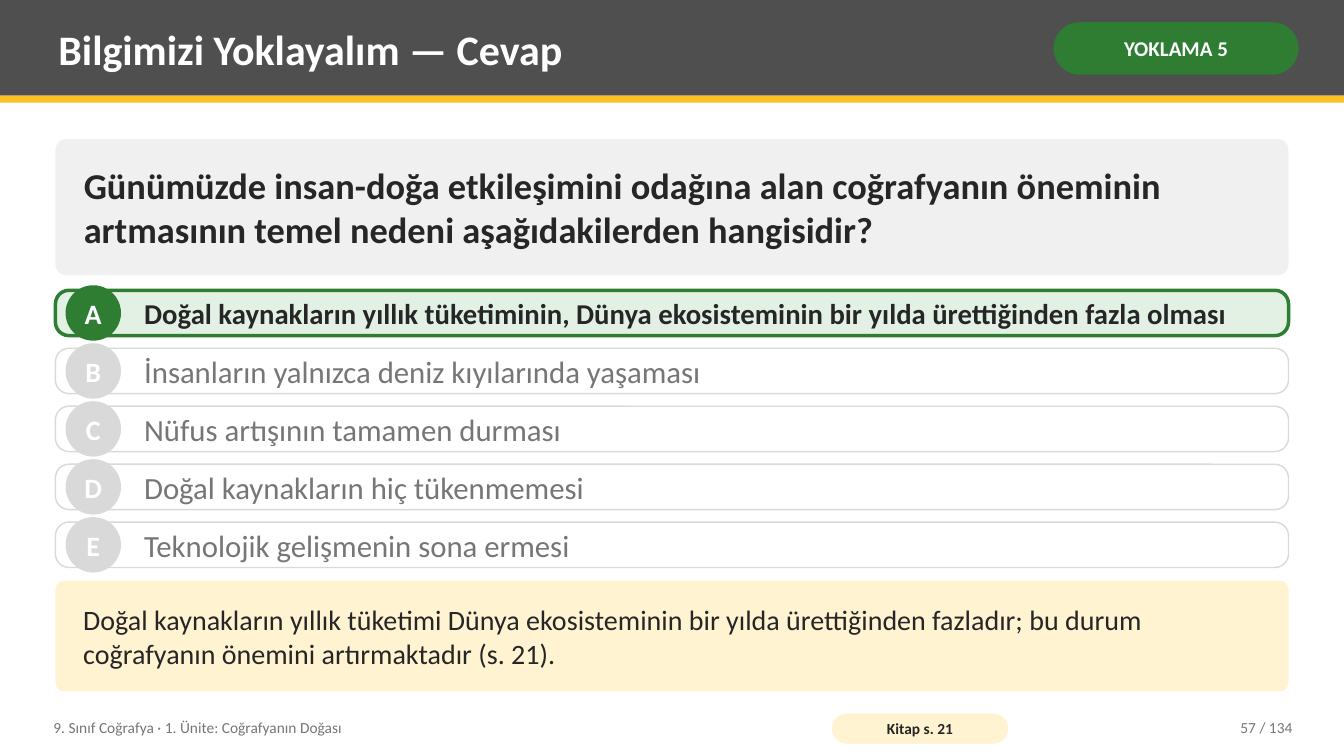
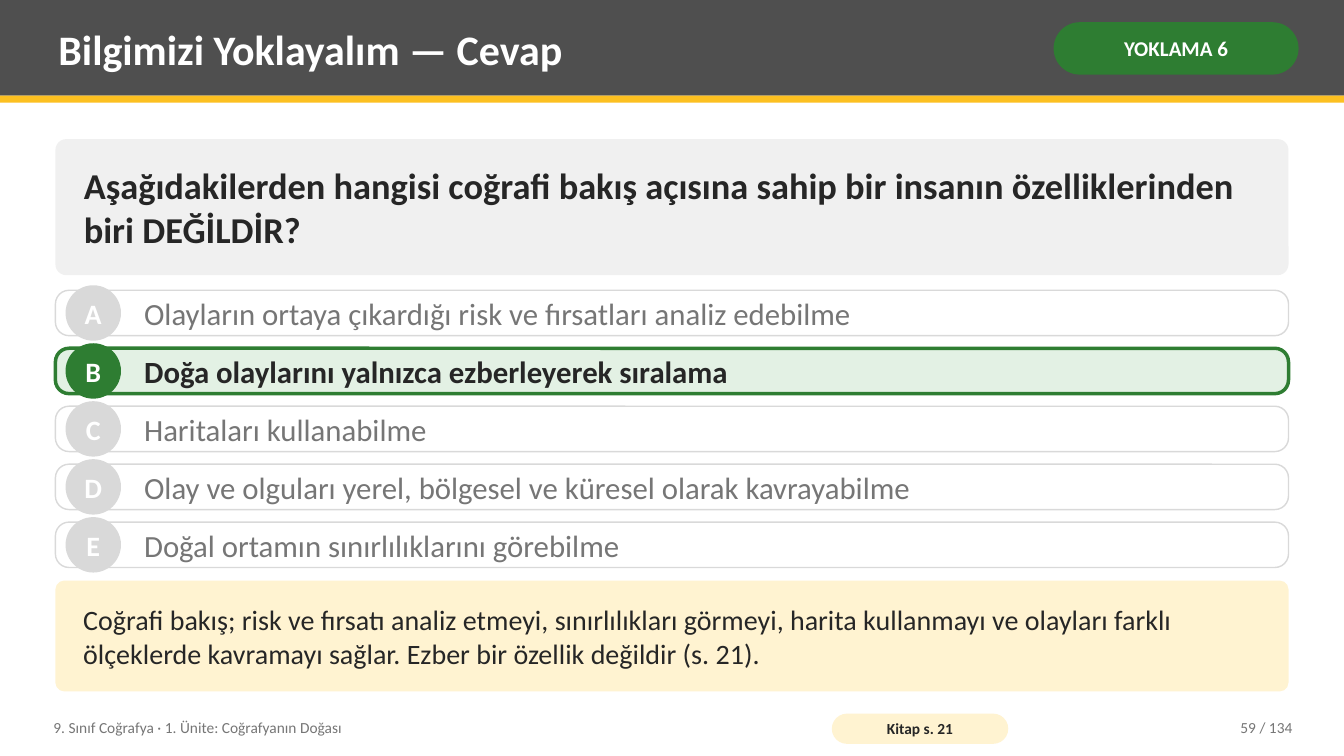
from pptx import Presentation
from pptx.dml.color import RGBColor
from pptx.enum.shapes import MSO_SHAPE
from pptx.enum.text import MSO_ANCHOR, MSO_AUTO_SIZE, PP_ALIGN
from pptx.util import Emu, Pt

PX = 9144
WIDTH, HEIGHT = 1333, 750
FONT = "Calibri"
TITLE = "Bilgimizi Yoklayalım — Cevap"
FOOTER = "9. Sınıf Coğrafya · 1. Ünite: Coğrafyanın Doğası"
PAGE_COUNT = 134

COLORS = {
    "header": "4F4F4F",
    "accent": "FCC021",
    "green": "2E7D32",
    "mint": "E3F1E4",
    "panel": "F0F0F0",
    "cream": "FFF3D1",
    "white": "FFFFFF",
    "border": "D9D9D9",
    "ink": "262626",
    "muted": "767676",
}

QUIZZES = [
    {
        "tag": "YOKLAMA 5",
        "question": "Günümüzde insan-doğa etkileşimini odağına alan coğrafyanın "
                    "öneminin artmasının temel nedeni aşağıdakilerden hangisidir?",
        "options": [
            "Doğal kaynakların yıllık tüketiminin, Dünya ekosisteminin bir yılda "
            "ürettiğinden fazla olması",
            "İnsanların yalnızca deniz kıyılarında yaşaması",
            "Nüfus artışının tamamen durması",
            "Doğal kaynakların hiç tükenmemesi",
            "Teknolojik gelişmenin sona ermesi",
        ],
        "answer": "A",
        "explanation": "Doğal kaynakların yıllık tüketimi Dünya ekosisteminin bir yılda "
                       "ürettiğinden fazladır; bu durum coğrafyanın önemini "
                       "artırmaktadır (s. 21).",
        "source": "Kitap s. 21",
        "page": 57,
    },
    {
        "tag": "YOKLAMA 6",
        "question": "Aşağıdakilerden hangisi coğrafi bakış açısına sahip bir insanın "
                    "özelliklerinden biri DEĞİLDİR?",
        "options": [
            "Olayların ortaya çıkardığı risk ve fırsatları analiz edebilme",
            "Doğa olaylarını yalnızca ezberleyerek sıralama",
            "Haritaları kullanabilme",
            "Olay ve olguları yerel, bölgesel ve küresel olarak kavrayabilme",
            "Doğal ortamın sınırlılıklarını görebilme",
        ],
        "answer": "B",
        "explanation": "Coğrafi bakış; risk ve fırsatı analiz etmeyi, sınırlılıkları "
                       "görmeyi, harita kullanmayı ve olayları farklı ölçeklerde "
                       "kavramayı sağlar. Ezber bir özellik değildir (s. 21).",
        "source": "Kitap s. 21",
        "page": 59,
    },
]

LEFT, CONTENT_W = 55, 1223
OPTIONS_TOP, OPTIONS_BOTTOM, OPTION_H = 288, 563, 45
BADGE = 55
LONG_OPTION = 80


def px(value):
    return Emu(round(value * PX))


def rgb(name):
    return RGBColor.from_string(COLORS[name])


def write(sp, text, size=22, color="ink", bold=False, align=PP_ALIGN.LEFT,
          inset=(8, 4), wrap=True):
    tf = sp.text_frame
    tf.auto_size = MSO_AUTO_SIZE.NONE
    tf.word_wrap = wrap
    tf.vertical_anchor = MSO_ANCHOR.MIDDLE
    tf.margin_left = tf.margin_right = px(inset[0])
    tf.margin_top = tf.margin_bottom = px(inset[1])
    p = tf.paragraphs[0]
    p.alignment = align
    r = p.add_run()
    r.text = text
    r.font.name = FONT
    r.font.size = Pt(size)
    r.font.bold = bold
    r.font.color.rgb = rgb(color)


def add_box(slide, kind, box, fill, radius=None, line=None, line_width=1):
    sp = slide.shapes.add_shape(kind, *map(px, box))
    sp.shadow.inherit = False
    sp.fill.solid()
    sp.fill.fore_color.rgb = rgb(fill)
    if radius is not None:
        sp.adjustments[0] = radius
    if line:
        sp.line.color.rgb = rgb(line)
        sp.line.width = Pt(line_width)
    else:
        sp.line.fill.background()
    return sp


def add_rounded(slide, box, fill, radius, **line):
    return add_box(slide, MSO_SHAPE.ROUNDED_RECTANGLE, box, fill, radius, **line)


def add_label(slide, box, text, **style):
    write(slide.shapes.add_textbox(*map(px, box)), text, **style)


def add_header(slide, tag):
    add_box(slide, MSO_SHAPE.RECTANGLE, (0, 0, WIDTH, 95), "header")
    band = add_box(slide, MSO_SHAPE.RECTANGLE, (0, 95, WIDTH, 7), "accent")
    title = slide.shapes.title
    title.left, title.top, title.width, title.height = map(px, (50, 7, 975, 82))
    write(title, TITLE, size=30, color="white", bold=True)
    band._element.addnext(title._element)
    pill = add_rounded(slide, (1045, 22, 243, 52), "green", 0.5)
    write(pill, tag, size=15, color="white", bold=True,
          align=PP_ALIGN.CENTER, inset=(5, 2))


def add_option(slide, top, letter, text, correct):
    if correct:
        fill, edge, width, color = "mint", "green", 2.5, "ink"
    else:
        fill, edge, width, color = "white", "border", 1, "muted"
    add_rounded(slide, (LEFT, top, CONTENT_W, OPTION_H), fill, 0.3,
                line=edge, line_width=width)
    badge_top = top + (OPTION_H - BADGE) / 2
    badge = add_box(slide, MSO_SHAPE.OVAL, (LEFT + 10, badge_top, BADGE, BADGE), edge)
    write(badge, letter, size=20, color="white", bold=True,
          align=PP_ALIGN.CENTER, inset=(0, 0), wrap=False)
    add_label(slide, (LEFT + 80, top, CONTENT_W - 100, OPTION_H), text,
              size=20.5 if len(text) > LONG_OPTION else 22, color=color, bold=correct)


def add_footer(slide, source, page):
    add_label(slide, (45, 704, 760, 36), FOOTER, size=11, color="muted")
    pill = add_rounded(slide, (825, 708, 175, 30), "cream", 0.5)
    write(pill, source, size=11, bold=True, align=PP_ALIGN.CENTER, inset=(4, 0))
    add_label(slide, (1130, 704, 160, 36), f"{page} / {PAGE_COUNT}",
              size=11, color="muted", align=PP_ALIGN.RIGHT)


def add_quiz(prs, quiz):
    slide = prs.slides.add_slide(prs.slide_layouts.get_by_name("Title Only"))
    add_header(slide, quiz["tag"])
    question = add_rounded(slide, (LEFT, 138, CONTENT_W, 135), "panel", 0.08)
    write(question, quiz["question"], size=26, bold=True, inset=(25, 8))
    options = quiz["options"]
    pitch = (OPTIONS_BOTTOM - OPTIONS_TOP - OPTION_H) / (len(options) - 1)
    for i, (letter, text) in enumerate(zip("ABCDE", options)):
        add_option(slide, OPTIONS_TOP + i * pitch, letter, text,
                   letter == quiz["answer"])
    explanation = add_rounded(slide, (LEFT, 576, CONTENT_W, 110), "cream", 0.08)
    write(explanation, quiz["explanation"], size=20, inset=(25, 8))
    add_footer(slide, quiz["source"], quiz["page"])


def main():
    prs = Presentation()
    prs.slide_width, prs.slide_height = px(WIDTH), px(HEIGHT)
    for quiz in QUIZZES:
        add_quiz(prs, quiz)
    prs.save("out.pptx")


if __name__ == "__main__":
    main()
